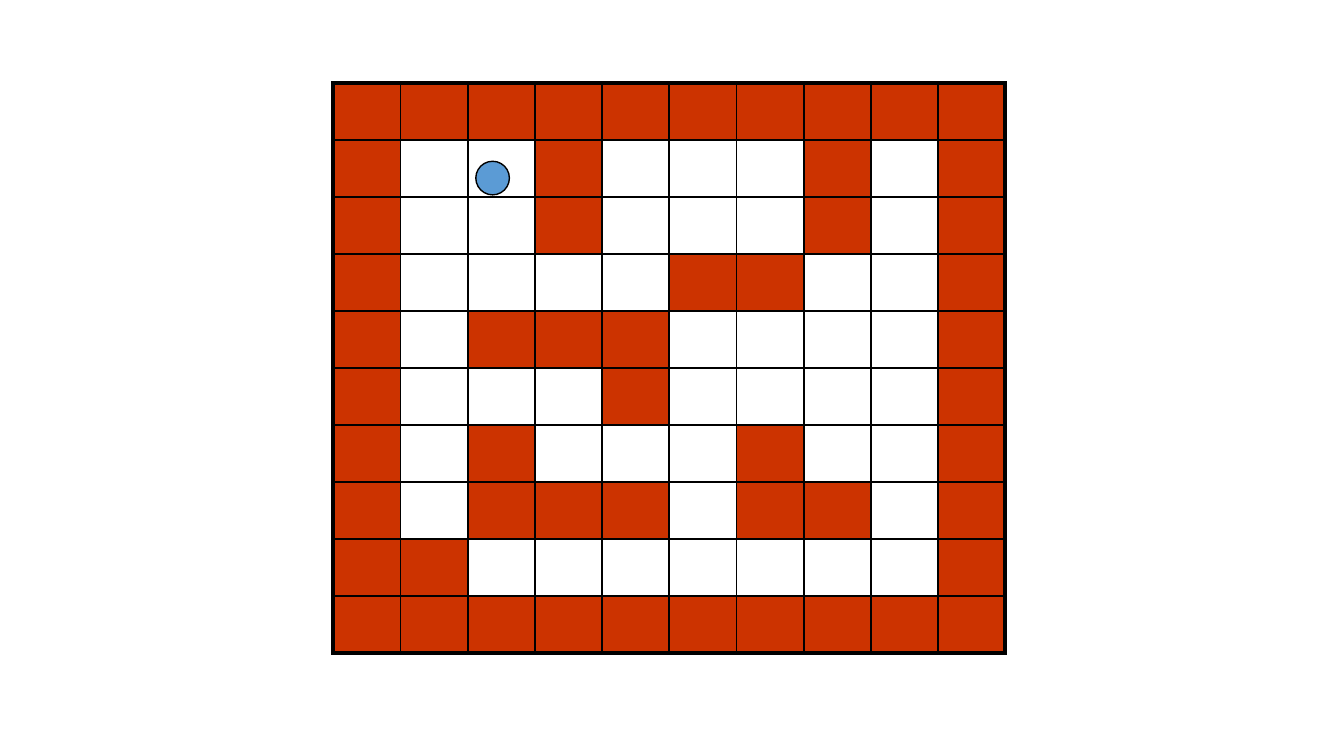
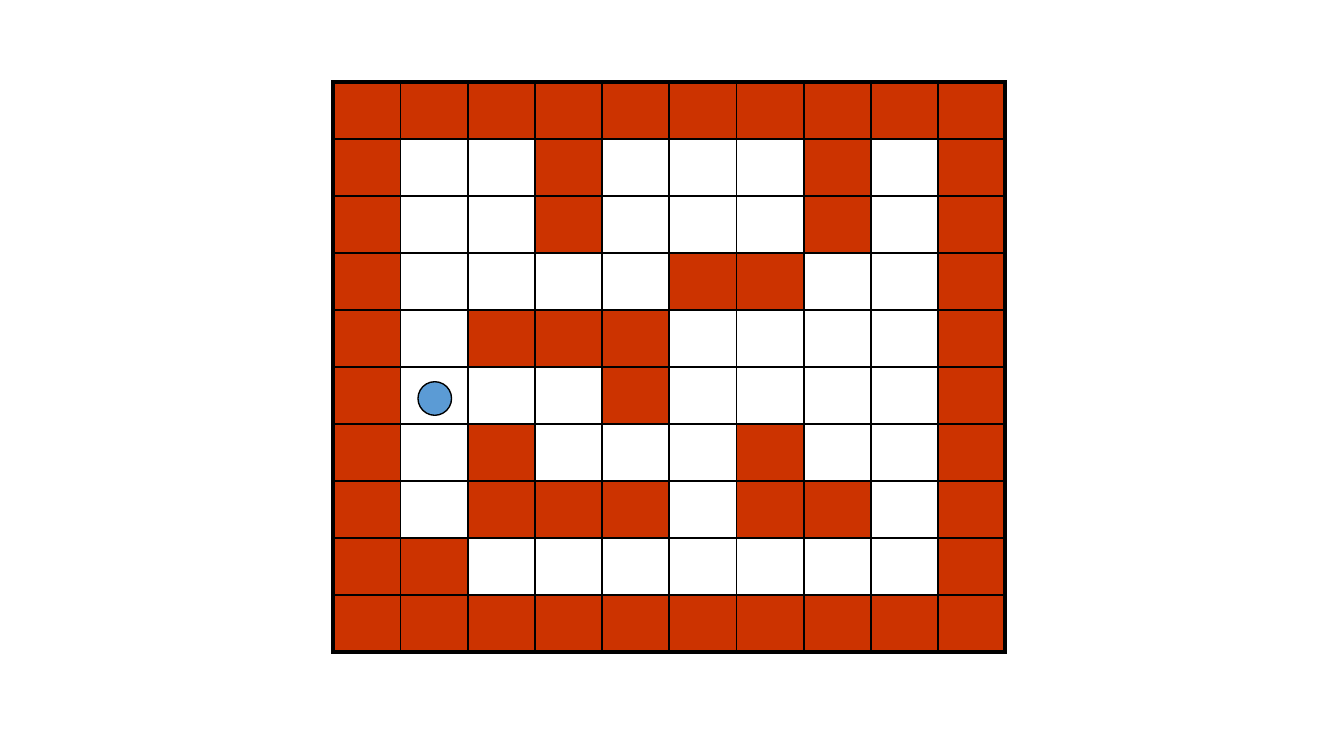
from dataclasses import dataclass

from lxml.etree import SubElement
from pptx import Presentation
from pptx.dml.color import RGBColor as RGB
from pptx.enum.shapes import MSO_CONNECTOR as Link, MSO_SHAPE as Shape
from pptx.oxml.ns import qn
from pptx.util import Inches, Pt


@dataclass(frozen=True)
class Theme:
    wall: RGB = RGB(0xCC, 0x33, 0x00)
    ball: RGB = RGB(0x5B, 0x9B, 0xD5)
    ink: RGB = RGB(0, 0, 0)
    frame: float = 2.25
    grid: float = 1
    rim: float = 0.75


@dataclass(frozen=True)
class Box:
    left: float
    top: float
    width: float
    height: float


THEME = Theme()
WIDE = 10
HIGH = WIDE * 9 / 16
SIZE = 0.25
MAZE = (
    "##########",
    "#..#...#.#",
    "#..#...#.#",
    "#....##..#",
    "#.###....#",
    "#...#....#",
    "#.#...#..#",
    "#.###.##.#",
    "##.......#",
    "##########",
)
ROWS, COLS = len(MAZE), len(MAZE[0])


def add_solid(shapes, kind, box, fill, rim=None):
    """Add a filled shape, outlined only when a rim width is given."""
    item = shapes.add_shape(kind, Inches(box.left), Inches(box.top),
                            Inches(box.width), Inches(box.height))
    item.shadow.inherit = False
    item.fill.solid()
    item.fill.fore_color.rgb = fill
    if rim is None:
        item.line.fill.background()
    else:
        item.line.color.rgb = THEME.ink
        item.line.width = Pt(rim)


def add_line(shapes, start, end, width):
    """Add a line with square caps, so that the frame corners close."""
    line = shapes.add_connector(Link.STRAIGHT, *map(Inches, start + end))
    line.line.color.rgb = THEME.ink
    line.line.width = Pt(width)
    props = line._element.spPr
    props.find(qn("a:ln")).set("cap", "sq")
    SubElement(props, qn("a:effectLst"))


def weight(index, last):
    """Give the outer lines the frame width and the inner ones the grid width."""
    return THEME.frame if index in (0, last) else THEME.grid


def add_walls(shapes, box):
    wide, high = box.width / COLS, box.height / ROWS
    for row, cells in enumerate(MAZE):
        for col, cell in enumerate(cells):
            if cell == "#":
                place = Box(box.left + col * wide, box.top + row * high, wide, high)
                add_solid(shapes, Shape.RECTANGLE, place, THEME.wall)


def add_grid(shapes, box):
    right, base = box.left + box.width, box.top + box.height
    for row in range(ROWS + 1):
        y = box.top + row * box.height / ROWS
        add_line(shapes, (box.left, y), (right, y), weight(row, ROWS))
    for col in range(COLS + 1):
        x = box.left + col * box.width / COLS
        add_line(shapes, (x, box.top), (x, base), weight(col, COLS))


def add_ball(shapes, box, dx, dy):
    place = Box(box.left + dx, box.top + dy, SIZE, SIZE)
    add_solid(shapes, Shape.FLOWCHART_CONNECTOR, place, THEME.ball, THEME.rim)


def maze_slide(deck, box, ball):
    slide = deck.slides.add_slide(deck.slide_layouts.get_by_name("Blank"))
    group = slide.shapes.add_group_shape()
    add_walls(group.shapes, box)
    add_grid(group.shapes, box)
    add_ball(slide.shapes, box, *ball)


def main():
    deck = Presentation()
    deck.slide_width, deck.slide_height = Inches(WIDE), Inches(HIGH)
    maze_slide(deck, Box(2.48, 0.62, 5, 4.24), ball=(1.06, 0.58))
    maze_slide(deck, Box(2.48, 0.61, 5, 4.24), ball=(0.63, 2.23))
    deck.save("out.pptx")


if __name__ == "__main__":
    main()
